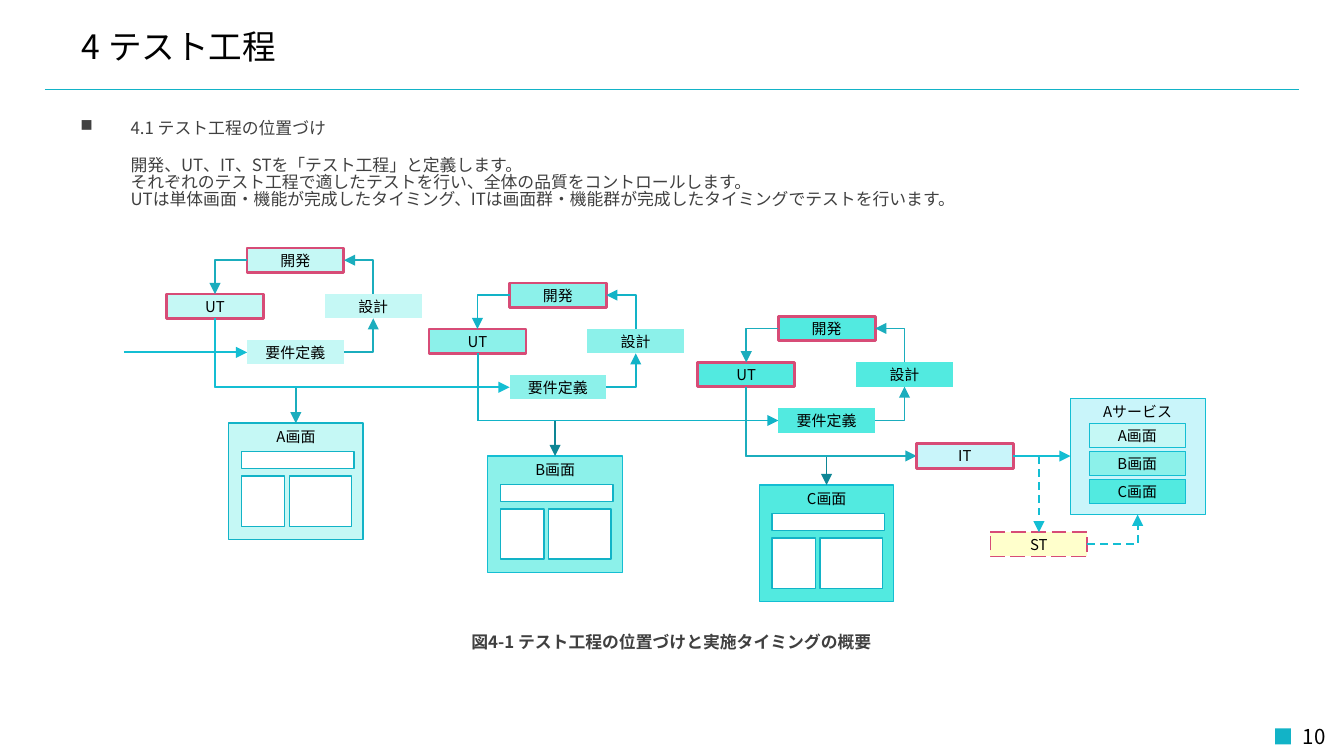
from lxml import etree
from pptx import Presentation
from pptx.dml.color import RGBColor
from pptx.enum.dml import MSO_LINE
from pptx.enum.shapes import MSO_CONNECTOR, MSO_SHAPE
from pptx.enum.text import MSO_ANCHOR, PP_ALIGN
from pptx.oxml.ns import qn
from pptx.util import Cm, Pt

STRAIGHT, ELBOW = MSO_CONNECTOR.STRAIGHT, MSO_CONNECTOR.ELBOW
RECTANGLE, PROCESS = MSO_SHAPE.RECTANGLE, MSO_SHAPE.FLOWCHART_PROCESS
DASH, LONG_DASH = MSO_LINE.DASH, MSO_LINE.LONG_DASH
TOP, MIDDLE = MSO_ANCHOR.TOP, MSO_ANCHOR.MIDDLE
LEFT, CENTER, RIGHT = PP_ALIGN.LEFT, PP_ALIGN.CENTER, PP_ALIGN.RIGHT

FONT = "Noto Sans CJK JP"
BLACK = RGBColor(0x00, 0x00, 0x00)
WHITE = RGBColor(0xFF, 0xFF, 0xFF)
BODY_GRAY = RGBColor(0x40, 0x40, 0x40)
TEAL = RGBColor(0x12, 0xB3, 0xC7)
BRIGHT_TEAL = RGBColor(0x14, 0xBE, 0xD3)
MUTED_TEAL = RGBColor(0x1B, 0xAD, 0xBD)
DARK_TEAL = RGBColor(0x0E, 0x86, 0x95)
PINK = RGBColor(0xD7, 0x4C, 0x77)
PALE_BLUE = RGBColor(0xC9, 0xF5, 0xFA)
PALE_YELLOW = RGBColor(0xFF, 0xFF, 0xCC)
MINT_LIGHT = RGBColor(0xC5, 0xF8, 0xF5)
MINT = RGBColor(0x8C, 0xF1, 0xEA)
MINT_STRONG = RGBColor(0x52, 0xEA, 0xE0)

# Sizes in centimetres
STEP_WIDTH, STEP_HEIGHT = 1.83, 0.46
PANEL_WIDTH, PANEL_HEIGHT = 2.54, 2.2

# Screen name, fill, step origin, screen origin,
# line colours: cycle, to screen, to next step, screen outline
STAGES = [
    ("A画面", MINT_LIGHT, (4.67, 6.43), (4.32, 8.0),
     MUTED_TEAL, MUTED_TEAL, BRIGHT_TEAL, TEAL),
    ("B画面", MINT, (9.63, 7.09), (9.22, 8.62),
     TEAL, DARK_TEAL, TEAL, BRIGHT_TEAL),
    ("C画面", MINT_STRONG, (14.71, 7.72), (14.35, 9.17),
     MUTED_TEAL, DARK_TEAL, MUTED_TEAL, BRIGHT_TEAL),
]
IT_ORIGIN = (17.32, 8.39)
ST_ORIGIN = (18.72, 10.06)
SERVICE_ORIGIN = (20.23, 7.53)

BODY_LINES = [
    "4.1 テスト工程の位置づけ",
    "開発、UT、IT、STを「テスト工程」と定義します。",
    "それぞれのテスト工程で適したテストを行い、全体の品質をコントロールします。",
    "UTは単体画面・機能が完成したタイミング、ITは画面群・機能群が完成したタイミングでテストを行います。",
]


def add_run(paragraph, text, size, color=BLACK, bold=False):
    run = paragraph.add_run()
    run.text = text
    run.font.size = Pt(size)
    run.font.bold = bold
    run.font.color.rgb = color
    run.font.name = FONT
    etree.SubElement(run.font._element, qn("a:ea")).set("typeface", FONT)


def add_text(slide, left, top, width, height, text, size,
             align=LEFT, color=BLACK, bold=False):
    frame = slide.shapes.add_textbox(Cm(left), Cm(top), Cm(width), Cm(height)).text_frame
    frame.word_wrap = True
    frame.vertical_anchor = MIDDLE
    frame.paragraphs[0].alignment = align
    add_run(frame.paragraphs[0], text, size, color, bold)


def add_box(slide, left, top, width, height, fill=None, line=None,
            weight=0.75, text=None, dash=None, kind=PROCESS):
    shape = slide.shapes.add_shape(kind, Cm(left), Cm(top), Cm(width), Cm(height))
    shape.shadow.inherit = False
    if fill is None:
        shape.fill.background()
    else:
        shape.fill.solid()
        shape.fill.fore_color.rgb = fill
    if line is None:
        shape.line.fill.background()
    else:
        shape.line.color.rgb = line
        shape.line.width = Pt(weight)
        if dash:
            shape.line.dash_style = dash
    if text:
        frame = shape.text_frame
        frame.margin_left = frame.margin_right = 0
        frame.margin_top = frame.margin_bottom = 0
        frame.vertical_anchor = MIDDLE
        frame.paragraphs[0].alignment = CENTER
        add_run(frame.paragraphs[0], text, 8)


def add_step(slide, origin, text, fill, line=None, weight=1.5, dash=None):
    add_box(slide, *origin, STEP_WIDTH, STEP_HEIGHT, fill, line, weight, text, dash)


def add_line(slide, start, end, color, weight=1.0, arrow=True, dash=None, kind=STRAIGHT):
    connector = slide.shapes.add_connector(kind, *(Cm(value) for value in (*start, *end)))
    connector.line.color.rgb = color
    connector.line.width = Pt(weight)
    if dash:
        connector.line.dash_style = dash
    if arrow:
        outline = connector.line._get_or_add_ln()
        etree.SubElement(outline, qn("a:tailEnd")).set("type", "triangle")
    etree.SubElement(connector._element.spPr, qn("a:effectLst"))
    return connector


def add_elbow(slide, start, end, color, vertical_first=False, bend_y=None, dash=None):
    """One corner, or two corners with the level part at bend_y."""
    (x1, y1), (x2, y2) = start, end
    if vertical_first:
        # Ends before the quarter turn about the centre
        center_x, center_y = (x1 + x2) / 2, (y1 + y2) / 2
        half_x, half_y = (x2 - x1) / 2, (y2 - y1) / 2
        start = center_x + half_y, center_y - half_x
        end = center_x - half_y, center_y + half_x
    connector = add_line(slide, start, end, color, dash=dash, kind=ELBOW)
    properties = connector._element.spPr
    if vertical_first:
        properties.find(qn("a:xfrm")).set("rot", "16200000")
    geometry = properties.find(qn("a:prstGeom"))
    if bend_y is None:
        geometry.set("prst", "bentConnector2")
    else:
        guide = etree.SubElement(geometry.find(qn("a:avLst")), qn("a:gd"))
        guide.set("name", "adj1")
        guide.set("fmla", f"val {round((bend_y - y1) / (y2 - y1) * 100000)}")


def add_body(slide):
    frame = slide.shapes.add_textbox(Cm(1.27), Cm(2.16), Cm(22.86), Cm(2.08)).text_frame
    frame.word_wrap = True
    frame.vertical_anchor = TOP
    for index, line in enumerate(BODY_LINES):
        paragraph = frame.paragraphs[0] if index == 0 else frame.add_paragraph()
        properties = paragraph._p.get_or_add_pPr()
        properties.set("marL", str(Cm(0.95)))
        if index == 0:
            properties.set("indent", str(Cm(-0.95)))
            etree.SubElement(properties, qn("a:buChar")).set("char", "■")
        paragraph.line_spacing = 0.84
        if index == 1:
            paragraph.space_before = Pt(10.9)
        add_run(paragraph, line, 9, BODY_GRAY)


def add_cycle(slide, origin, fill, color):
    """Requirements, design, development and unit test in a loop."""
    x, y = origin
    rise, middle = 0.87, STEP_HEIGHT / 2
    design_x, test_x = x + 1.47, x - 1.52
    design_center, test_center = design_x + STEP_WIDTH / 2, test_x + STEP_WIDTH / 2
    right, develop_y = x + STEP_WIDTH, y - 2 * rise
    add_step(slide, origin, "要件定義", fill)
    add_step(slide, (test_x, y - rise), "UT", fill, PINK)
    add_step(slide, (x, develop_y), "開発", fill, PINK)
    add_step(slide, (design_x, y - rise), "設計", fill)
    add_elbow(slide, (right, y + middle), (design_center, y - rise + STEP_HEIGHT), color)
    add_elbow(slide, (design_center, y - rise), (right, develop_y + middle), color, True)
    add_elbow(slide, (x, develop_y + middle), (test_center, y - rise), color)
    return test_center, y - rise + STEP_HEIGHT


def add_screen(slide, origin, name, fill, line):
    x, y = origin
    add_box(slide, x, y, PANEL_WIDTH, PANEL_HEIGHT, fill, line)
    add_box(slide, x + 0.53, y + 0.11, 1.49, 0.28, text=name)
    for left, top, width, height in [(0.24, 0.54, 2.13, 0.32),
                                     (0.24, 1.0, 0.82, 0.95), (1.15, 1.0, 1.18, 0.95)]:
        add_box(slide, x + left, y + top, width, height, WHITE, TEAL, kind=RECTANGLE)


def add_service(slide):
    x, y = SERVICE_ORIGIN
    add_box(slide, x, y, PANEL_WIDTH, PANEL_HEIGHT, PALE_BLUE, BRIGHT_TEAL, 0.25)
    add_box(slide, x + 0.08, y + 0.11, 2.38, 0.28, text="Aサービス")
    for index, (name, fill, *_) in enumerate(STAGES):
        add_step(slide, (x + 0.35, y + 0.47 + 0.53 * index), name, fill, BRIGHT_TEAL, 0.25)


def main():
    presentation = Presentation()
    presentation.slide_width, presentation.slide_height = Cm(25.4), Cm(14.29)
    slide = presentation.slides.add_slide(presentation.slide_layouts[6])

    # Heading, page number and body
    add_line(slide, (0.85, 1.69), (24.55, 1.69), TEAL, 0.25, arrow=False)
    add_text(slide, 21.77, 13.54, 3.53, 0.76, "10", 11, RIGHT)
    add_box(slide, 24.1, 13.77, 0.3, 0.3, TEAL, kind=RECTANGLE)
    add_text(slide, 1.3, 0.36, 22.86, 1.02, "4 テスト工程", 18)
    add_body(slide)

    # Development cycles and their screens
    middle = STEP_HEIGHT / 2
    first_x, first_y = STAGES[0][2]
    add_line(slide, (2.34, first_y + middle), (first_x, first_y + middle), BRIGHT_TEAL)
    targets = [stage[2] for stage in STAGES[1:]] + [IT_ORIGIN]
    for stage, (next_x, next_y) in zip(STAGES, targets):
        name, fill, origin, screen, cycle_color, screen_color, next_color, outline = stage
        test_exit = add_cycle(slide, origin, fill, cycle_color)
        add_screen(slide, screen, name, fill, outline)
        screen_top = (screen[0] + PANEL_WIDTH / 2, screen[1])
        add_elbow(slide, test_exit, screen_top, screen_color, True, next_y + middle)
        add_elbow(slide, test_exit, (next_x, next_y + middle), next_color, True)

    # Integration test, system test and the service
    add_step(slide, IT_ORIGIN, "IT", PALE_BLUE, PINK)
    add_service(slide)
    add_step(slide, ST_ORIGIN, "ST", PALE_YELLOW, PINK, 1, LONG_DASH)
    it_exit = (IT_ORIGIN[0] + STEP_WIDTH, IT_ORIGIN[1] + middle)
    st_exit = (ST_ORIGIN[0] + STEP_WIDTH, ST_ORIGIN[1] + middle)
    service_x, service_y = SERVICE_ORIGIN
    add_elbow(slide, it_exit, (ST_ORIGIN[0] + STEP_WIDTH / 2, ST_ORIGIN[1]),
              BRIGHT_TEAL, dash=DASH)
    add_line(slide, it_exit, (service_x, it_exit[1]), BRIGHT_TEAL)
    add_elbow(slide, st_exit, (service_x + PANEL_WIDTH / 2, service_y + PANEL_HEIGHT),
              BRIGHT_TEAL, dash=DASH)

    # Caption
    add_text(slide, 7.16, 11.81, 11.05, 0.66, "図4-1 テスト工程の位置づけと実施タイミングの概要",
             9, CENTER, BODY_GRAY, True)
    presentation.save("out.pptx")


if __name__ == "__main__":
    main()
